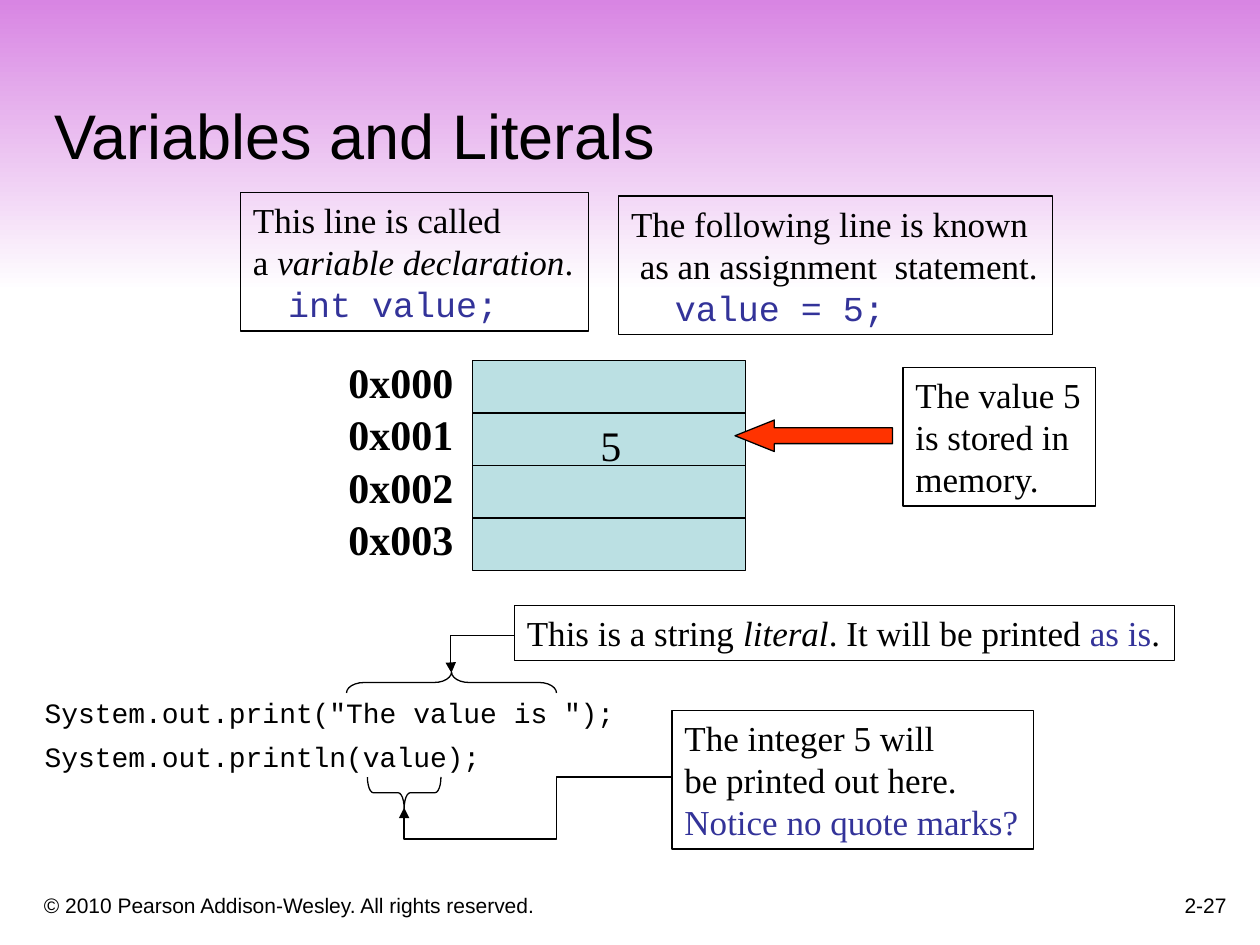
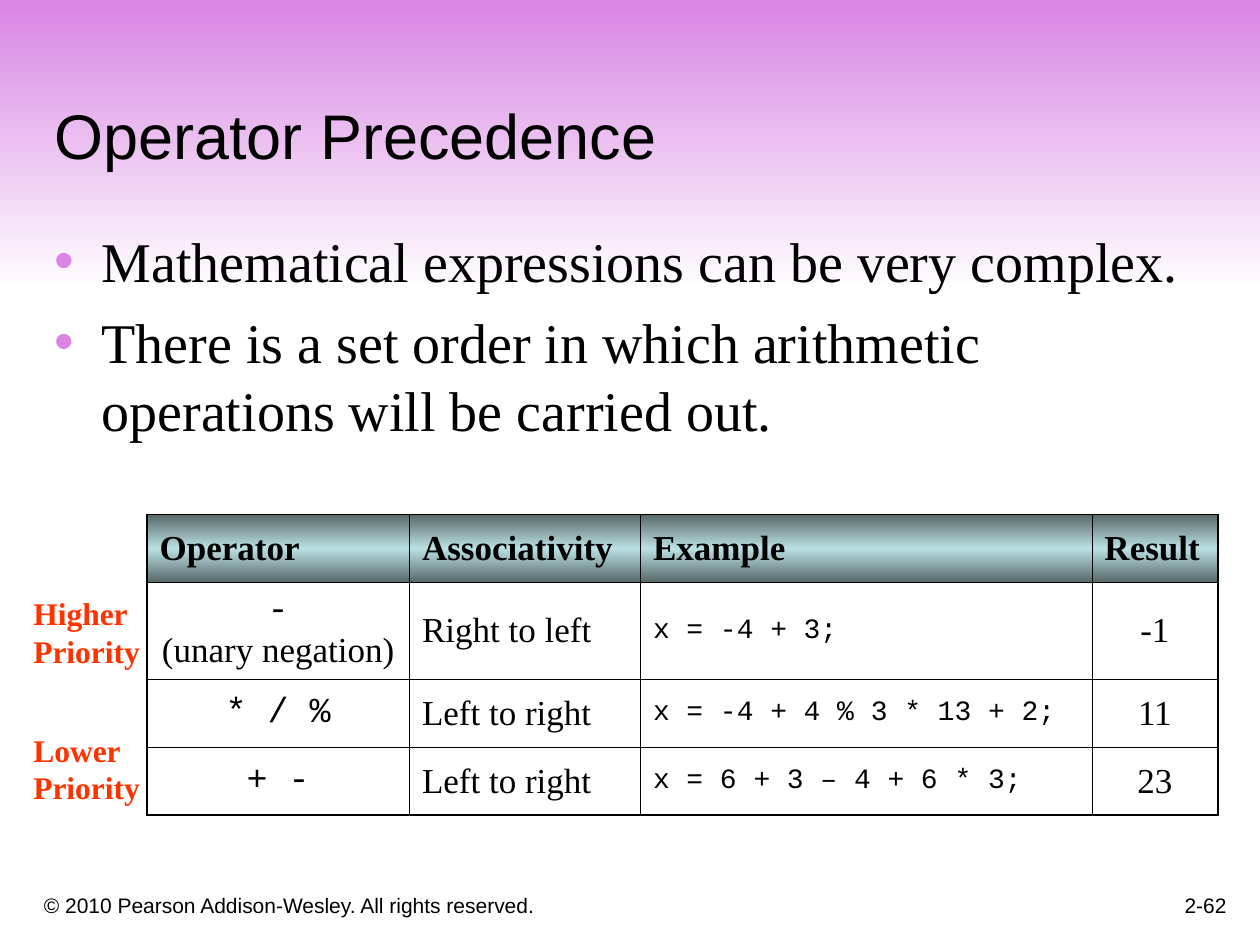
"""Build two slides about Java variables, literals and operator precedence."""
import dataclasses

import lxml.etree
import pptx
import pptx.dml.color
import pptx.enum.shapes
import pptx.enum.text
import pptx.oxml.ns
import pptx.util

Pt = pptx.util.Pt
SHAPES = pptx.enum.shapes.MSO_SHAPE
ALIGN = pptx.enum.text.PP_ALIGN
ANCHOR = pptx.enum.text.MSO_ANCHOR
qn = pptx.oxml.ns.qn


@dataclasses.dataclass(frozen=True)
class TextStyle:
    """Look of one run."""
    font: str
    size: float
    color: str = "000000"
    bold: bool = False
    italic: bool = False


@dataclasses.dataclass(frozen=True)
class Theme:
    """Colours, line widths and type styles shared by the slides."""
    ink: str = "000000"
    band: tuple = ("D885E3", "FFFFFF")
    header: tuple = ("576869", "BBE0E3", "576869")
    memory: str = "BBE0E3"
    arrow: str = "FF3300"
    bullet: str = "D885E3"
    outline: float = 0.75
    outer_border: float = 1.08
    inner_border: float = 0.45
    title: TextStyle = TextStyle("Arial", 36)
    footer: TextStyle = TextStyle("Arial", 12)
    body: TextStyle = TextStyle("Times New Roman", 32)
    note: TextStyle = TextStyle("Times New Roman", 20)
    note_bold: TextStyle = TextStyle("Times New Roman", 20, bold=True)
    term: TextStyle = TextStyle("Times New Roman", 20, italic=True)
    accent: TextStyle = TextStyle("Times New Roman", 20, "333399")
    accent_code: TextStyle = TextStyle("Courier New", 20, "333399")
    operator: TextStyle = TextStyle("Courier New", 20)
    code: TextStyle = TextStyle("Courier New", 16)
    address: TextStyle = TextStyle("Times New Roman", 24, bold=True)
    stored: TextStyle = TextStyle("Times New Roman", 24)
    priority: TextStyle = TextStyle("Times New Roman", 18, "FF3300", bold=True)


THEME = Theme()


@dataclasses.dataclass(frozen=True)
class Para:
    """One paragraph: its (text, style) runs and its layout."""
    runs: tuple
    indent: float = 0
    before: float = 0
    after: float = 0
    spacing: float = 1
    align: int = ALIGN.LEFT
    bullet: bool = False


def line_of(text, style, **layout):
    """Return a paragraph of a single run."""
    return Para(((text, style),), **layout)


def rgb(color):
    """Return the colour object for a hex string."""
    return pptx.dml.color.RGBColor.from_string(color)


def add_xml(parent, tag, **attributes):
    """Append a DrawingML child element."""
    return lxml.etree.SubElement(parent, qn(tag), attributes)


def write(frame, paragraphs):
    """Fill a text frame paragraph by paragraph, run by run."""
    for index, para in enumerate(paragraphs):
        target = frame.add_paragraph() if index else frame.paragraphs[0]
        properties = target._p.get_or_add_pPr()
        if para.indent:
            properties.set("marL", str(Pt(para.indent)))
        if para.bullet:
            properties.set("indent", str(-Pt(para.indent)))
            add_xml(add_xml(properties, "a:buClr"), "a:srgbClr", val=THEME.bullet)
            add_xml(properties, "a:buFont", typeface="Arial")
            add_xml(properties, "a:buChar", char="•")
        target.alignment = para.align
        target.space_before = Pt(para.before)
        target.space_after = Pt(para.after)
        target.line_spacing = para.spacing
        for text, style in para.runs:
            if text == "\n":
                target.add_line_break()
                continue
            run = target.add_run()
            run.text = text
            run.font.name = style.font
            run.font.size = Pt(style.size)
            run.font.bold = style.bold
            run.font.italic = style.italic
            run.font.color.rgb = rgb(style.color)


def set_gradient(fill, properties, colors):
    """Give a fill an evenly spaced top-to-bottom gradient."""
    fill.gradient()
    fill.gradient_angle = 270
    stops = properties.find(qn("a:gradFill")).find(qn("a:gsLst"))
    for stop in list(stops):
        stops.remove(stop)
    for index, color in enumerate(colors):
        position = str(100000 * index // (len(colors) - 1))
        add_xml(add_xml(stops, "a:gs", pos=position), "a:srgbClr", val=color)


def draw_shape(slide, kind, box, fill=None, outlined=True):
    """Add a preset shape with a plain fill and a thin outline."""
    shape = slide.shapes.add_shape(kind, *map(Pt, box))
    shape.shadow.inherit = False
    if fill:
        shape.fill.solid()
        shape.fill.fore_color.rgb = rgb(fill)
    else:
        shape.fill.background()
    if outlined:
        shape.line.color.rgb = rgb(THEME.ink)
        shape.line.width = Pt(THEME.outline)
    else:
        shape.line.fill.background()
    return shape


def fit_text(frame, paragraphs):
    """Write unwrapped text whose frame fits it."""
    frame.word_wrap = False
    frame.auto_size = pptx.enum.text.MSO_AUTO_SIZE.SHAPE_TO_FIT_TEXT
    frame.vertical_anchor = ANCHOR.TOP
    write(frame, paragraphs)


def add_callout(slide, box, *paragraphs):
    """Add an outlined explanation."""
    fit_text(draw_shape(slide, SHAPES.RECTANGLE, box).text_frame, paragraphs)


def add_label(slide, box, *paragraphs):
    """Add unwrapped free-standing text."""
    fit_text(slide.shapes.add_textbox(*map(Pt, box)).text_frame, paragraphs)


def add_text(slide, box, *paragraphs, anchor=ANCHOR.BOTTOM):
    """Add a wrapped text area and return its frame."""
    frame = slide.shapes.add_textbox(*map(Pt, box)).text_frame
    frame.word_wrap = True
    frame.vertical_anchor = anchor
    write(frame, paragraphs)
    return frame


def add_brace(slide, box, rotation, curve):
    """Add a brace turned to lie along a line of code."""
    brace = draw_shape(slide, SHAPES.LEFT_BRACE, box)
    brace.rotation = rotation
    brace.adjustments[0] = curve


def add_bent_arrow(slide, start, end, *bends):
    """Add an elbow arrow whose bends are fractions of its extent."""
    arrow = slide.shapes.add_connector(
        pptx.enum.shapes.MSO_CONNECTOR.ELBOW, *map(Pt, start + end))
    arrow.line.color.rgb = rgb(THEME.ink)
    arrow.line.width = Pt(THEME.outline)
    properties = arrow._element.spPr
    geometry = properties.find(qn("a:prstGeom"))
    geometry.set("prst", f"bentConnector{len(bends) + 2}")
    guides = geometry.find(qn("a:avLst"))
    if guides is None:
        guides = add_xml(geometry, "a:avLst")
    for number, bend in enumerate(bends, 1):
        add_xml(guides, "a:gd", name=f"adj{number}", fmla=f"val {round(bend * 100000)}")
    add_xml(properties.find(qn("a:ln")), "a:tailEnd", type="triangle")
    add_xml(properties, "a:effectLst")


def add_memory(slide, stored_row, value):
    """Draw four addressed memory cells, one holding a value."""
    height = 30
    for row in range(4):
        top = 206 + row * height
        draw_shape(slide, SHAPES.RECTANGLE, (270, top, 156, height), THEME.memory)
        add_label(slide, (192, top - 6, 78, 36), line_of(f"0x00{row}", THEME.address))
    add_label(slide, (336, 206 + stored_row * height, 28, 36), line_of(value, THEME.stored))


def set_borders(cell, widths):
    """Rule the left, right, top and bottom sides of a cell."""
    properties = cell._tc.get_or_add_tcPr()
    for side, width in zip("LRTB", widths):
        border = add_xml(properties, f"a:ln{side}", w=str(Pt(width)))
        add_xml(add_xml(border, "a:solidFill"), "a:srgbClr", val=THEME.ink)


def add_precedence_table(slide, rows):
    """Add the operator table with a shaded header row."""
    widths, heights = (150, 132, 258, 72), (38.75, 55.5, 38.75, 38.75)
    table = slide.shapes.add_table(
        len(heights), len(widths), Pt(84), Pt(294), Pt(sum(widths)), Pt(sum(heights))).table
    table.first_row = table.horz_banding = False
    for column, width in zip(table.columns, widths):
        column.width = Pt(width)
    for row, height in zip(table.rows, heights):
        row.height = Pt(height)
    for r, paragraphs in enumerate(rows):
        for c, para in enumerate(paragraphs):
            cell = table.cell(r, c)
            at_edge = (c == 0, c == len(widths) - 1, r == 0, r == len(heights) - 1)
            set_borders(cell, [THEME.outer_border if edge else THEME.inner_border
                               for edge in at_edge])
            if r == 0:
                set_gradient(cell.fill, cell._tc.tcPr, THEME.header)
            else:
                cell.fill.background()
            cell.vertical_anchor = ANCHOR.MIDDLE
            write(cell.text_frame, [para])


def operator_row(operators, associativity, example, result):
    """Return the paragraphs of one operator row."""
    return (Para(operators, align=ALIGN.CENTER), line_of(associativity, THEME.note),
            line_of(example, THEME.code), line_of(result, THEME.note, align=ALIGN.CENTER))


def start_slide(deck, title, number):
    """Add a slide with its band, footer, number and title."""
    slide = deck.slides.add_slide(deck.slide_layouts[6])
    band = draw_shape(slide, SHAPES.RECTANGLE, (0, 0, 720, 167), outlined=False)
    set_gradient(band.fill, band._element.spPr, THEME.band)
    add_text(slide, (18, 498, 438, 30),
             line_of("© 2010 Pearson Addison-Wesley. All rights reserved.", THEME.footer))
    add_text(slide, (558, 492, 150, 36), line_of(number, THEME.footer, align=ALIGN.RIGHT))
    add_text(slide, (24, 24, 678, 78), line_of(title, THEME.title))
    return slide


def build_variables(deck):
    """Build the slide on variables and literals."""
    slide = start_slide(deck, "Variables and Literals", "2-27")
    note, code = THEME.note, THEME.code
    add_callout(slide, (137.5, 110, 199, 79.2), line_of("This line is called", note),
                Para((("a ", note), ("variable declaration", THEME.term), (".", note))),
                line_of("int value;", THEME.accent_code, indent=20))
    add_callout(slide, (353.5, 112, 248, 79.2), line_of("The following line is known", note),
                line_of("as an assignment  statement.", note, indent=5),
                line_of("value = 5;", THEME.accent_code, indent=25))
    add_label(slide, (18.5, 396, 344, 50),
              line_of('System.out.print("The value is ");', code, after=4, spacing=0.9),
              line_of("System.out.println(value);", code, before=4, after=4, spacing=0.9))
    add_bent_arrow(slide, (294, 363), (258, 384.5), 1.01)
    add_callout(slide, (294, 346, 377, 31.7),
                Para((("This is a string ", note), ("literal", THEME.term),
                      (". It will be printed ", note), ("as is", THEME.accent), (".", note))))
    add_brace(slide, (252, 330, 12, 120), 90, 0.83)
    add_brace(slide, (222, 432, 18, 42), 270, 0.19)
    add_callout(slide, (384, 406, 206.5, 79.2), line_of("The integer 5 will", note),
                line_of("be printed out here.", note),
                line_of("Notice no quote marks?", THEME.accent))
    add_bent_arrow(slide, (384, 444), (231, 461.5), 0.43, 2.03)
    add_memory(slide, 1, "5")
    add_callout(slide, (516, 210, 110, 79.2),
                *(line_of(text, note) for text in ("The value 5", "is stored in", "memory.")))
    pointer = draw_shape(slide, SHAPES.LEFT_ARROW, (420, 240, 90, 18), THEME.arrow)
    pointer.adjustments[1] = 1.25


def build_precedence(deck):
    """Build the slide on operator precedence."""
    slide = start_slide(deck, "Operator Precedence", "2-62")
    points = add_text(
        slide, (24, 126, 653, 360),
        line_of("Mathematical expressions can be very complex.", THEME.body,
                indent=27, bullet=True),
        line_of("There is a set order in which arithmetic operations will be carried out.",
                THEME.body, indent=27, before=8, bullet=True), anchor=ANCHOR.TOP)
    points.margin_right = 0
    headings = [line_of(text, THEME.note_bold)
                for text in ("Operator", "Associativity", "Example", "Result")]
    negation = (("-", THEME.operator), ("\n", None), ("(unary negation)", THEME.note))
    add_precedence_table(slide, (
        headings,
        operator_row(negation, "Right to left", "x = -4 + 3;", "-1"),
        operator_row((("* / %", THEME.operator),), "Left to right",
                     "x = -4 + 4 % 3 * 13 + 2;", "11"),
        operator_row((("+ -", THEME.operator),), "Left to right",
                     "x = 6 + 3 – 4 + 6 * 3;", "23")))
    for rank, top in (("Higher", 336), ("Lower", 414)):
        add_label(slide, (12, top, 80, 50.5), line_of(rank, THEME.priority),
                  line_of("Priority", THEME.priority))


def main():
    """Build and save the deck."""
    deck = pptx.Presentation()
    deck.slide_width, deck.slide_height = Pt(720), Pt(540)
    build_variables(deck)
    build_precedence(deck)
    deck.save("out.pptx")


if __name__ == "__main__":
    main()
